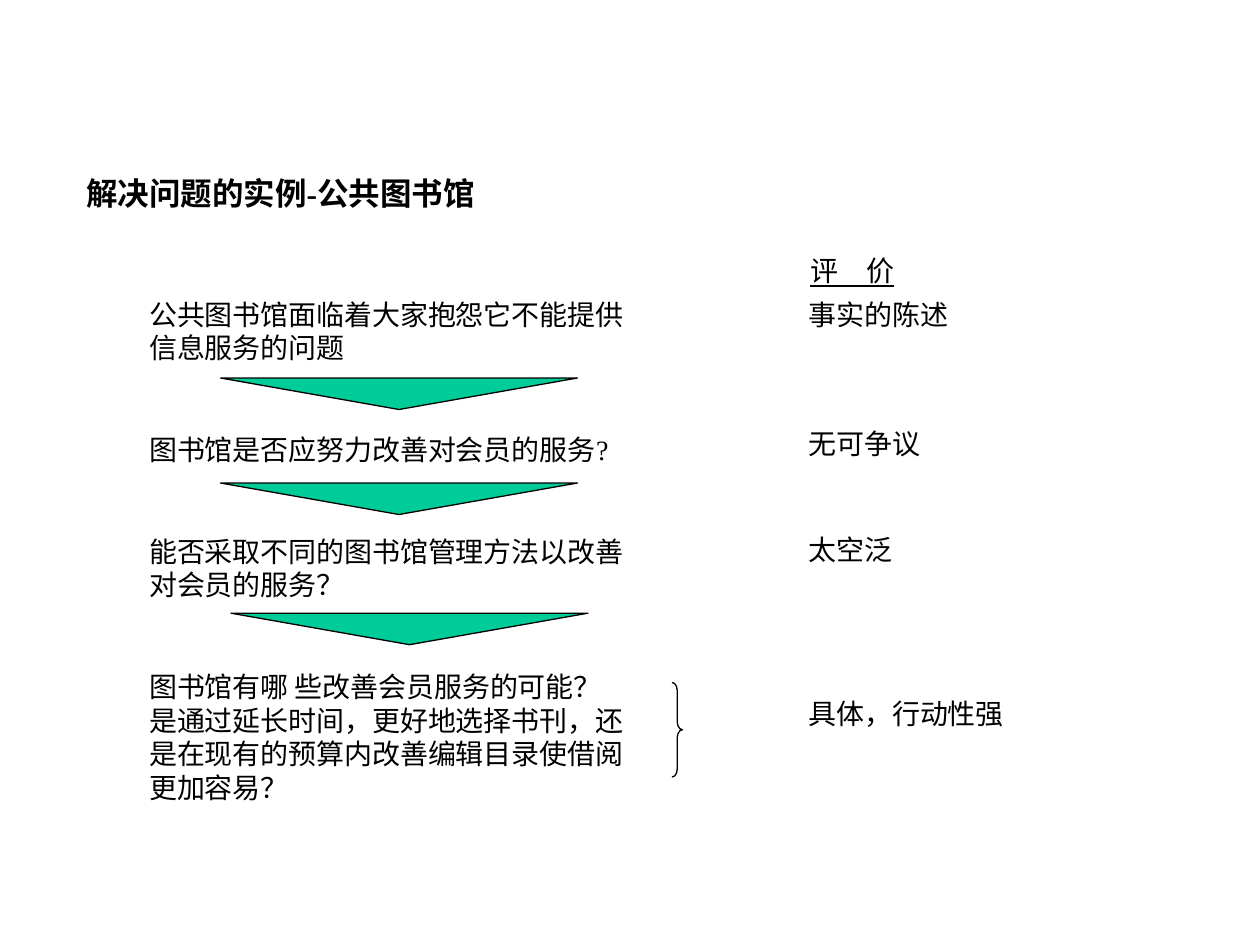
from lxml.etree import SubElement
from pptx import Presentation
from pptx.dml.color import RGBColor
from pptx.enum.shapes import MSO_SHAPE as Preset
from pptx.enum.text import MSO_ANCHOR as Anchor, MSO_AUTO_SIZE as AutoSize, PP_ALIGN as Align
from pptx.oxml.ns import qn
from pptx.util import Inches, Pt

COLUMNS, ROWS = 120, 90
WIDTH, HEIGHT = Inches(10), Inches(7.5)
BLACK, GREEN = "000000", "00CC99"
ARROW_SIZE = (34, 3)
ARROW_CORNERS = [(21, 36), (21, 46), (22, 58.4)]
STATEMENTS = [
    ("公共图书馆面临着大家抱怨它不能提供信息服务的问题", 0),
    ("图书馆是否应努力改善对会员的服务?", 39),
    ("能否采取不同的图书馆管理方法以改善对会员的服务？", 39),
    ("图书馆有哪 些改善会员服务的可能？是通过延长时间，更好地选择书刊，"
     "还是在现有的预算内改善编辑目录使借阅更加容易？", 39),
]
VERDICTS = [("事实的陈述", 0), ("无可争议", 55), ("太空泛", 41), ("具体，行动性强", 74.5)]


def color(code):
    """Turn a hex string into a colour."""
    return RGBColor.from_string(code)


def apply(target, values):
    """Set each attribute of the target from a dict."""
    for attribute, value in values.items():
        setattr(target, attribute, value)


def grid(column, row, columns, rows):
    """Convert grid cells to left, top, width and height."""
    across, down = WIDTH / COLUMNS, HEIGHT / ROWS
    return [round(n) for n in (column * across, row * down, columns * across, rows * down)]


def place(holder, area):
    """Move a placeholder to its grid area."""
    apply(holder, dict(zip(("left", "top", "width", "height"), grid(*area))))


def write(holder, entries, **font_values):
    """Fill a text holder with unbulleted paragraphs and the space before each."""
    frame = holder.text_frame
    apply(frame, {"word_wrap": True, "auto_size": AutoSize.SHAPE_TO_FIT_TEXT,
                  "vertical_anchor": Anchor.TOP})
    for index, (words, gap) in enumerate(entries):
        paragraph = frame.add_paragraph() if index else frame.paragraphs[0]
        properties = paragraph._p.get_or_add_pPr()
        apply(paragraph, {"alignment": Align.LEFT, "line_spacing": 1.0, "space_before": Pt(gap)})
        for name in ("marL", "indent"):
            properties.set(name, "0")
        SubElement(properties, qn("a:buNone"))
        run = paragraph.add_run()
        run.text = words
        apply(run.font, {"name": "Times New Roman", "size": Pt(16), **font_values})
        run.font.color.rgb = color(BLACK)


def draw(slide, preset, area, fill=None):
    """Add an outlined preset shape, filled when a colour is given."""
    shape = slide.shapes.add_shape(preset, *grid(*area))
    shape.shadow.inherit = False
    if fill:
        shape.fill.solid()
        shape.fill.fore_color.rgb = color(fill)
    else:
        shape.fill.background()
    shape.line.color.rgb = color(BLACK)
    shape.line.width = Pt(0.75)
    return shape


def main():
    """Build the library example slide."""
    deck = Presentation()
    apply(deck, {"slide_width": WIDTH, "slide_height": HEIGHT})
    slide = deck.slides.add_slide(deck.slide_layouts.get_by_name("Two Content"))
    title, statements, verdicts = slide.placeholders

    place(title, (7, 16, 84, 4.8))
    write(title, [("解决问题的实例-公共图书馆", 0)], size=Pt(18), bold=True)
    place(statements, (13, 27.7, 48, 49.7))
    write(statements, STATEMENTS)
    for corner in ARROW_CORNERS:
        draw(slide, Preset.ISOSCELES_TRIANGLE, corner + ARROW_SIZE, GREEN).rotation = 180

    place(verdicts, (75.8, 27.7, 34, 42.5))
    write(verdicts, VERDICTS)
    brace = draw(slide, Preset.RIGHT_BRACE, (64, 65, 1, 9))
    brace.adjustments[0] = 0.75
    heading = slide.shapes.add_textbox(*grid(76, 23.6, 17, 4.4))
    write(heading, [("评　价", 0)], underline=True)
    deck.save("out.pptx")


if __name__ == "__main__":
    main()
